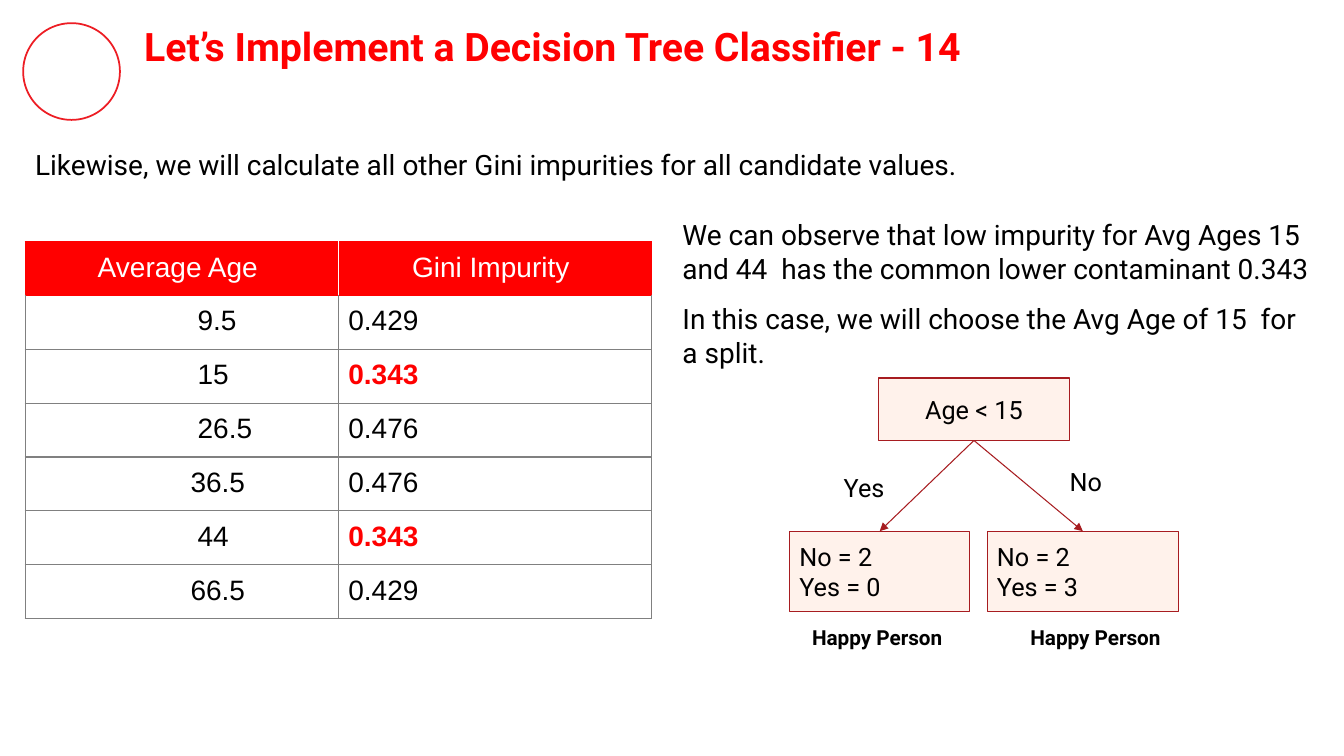
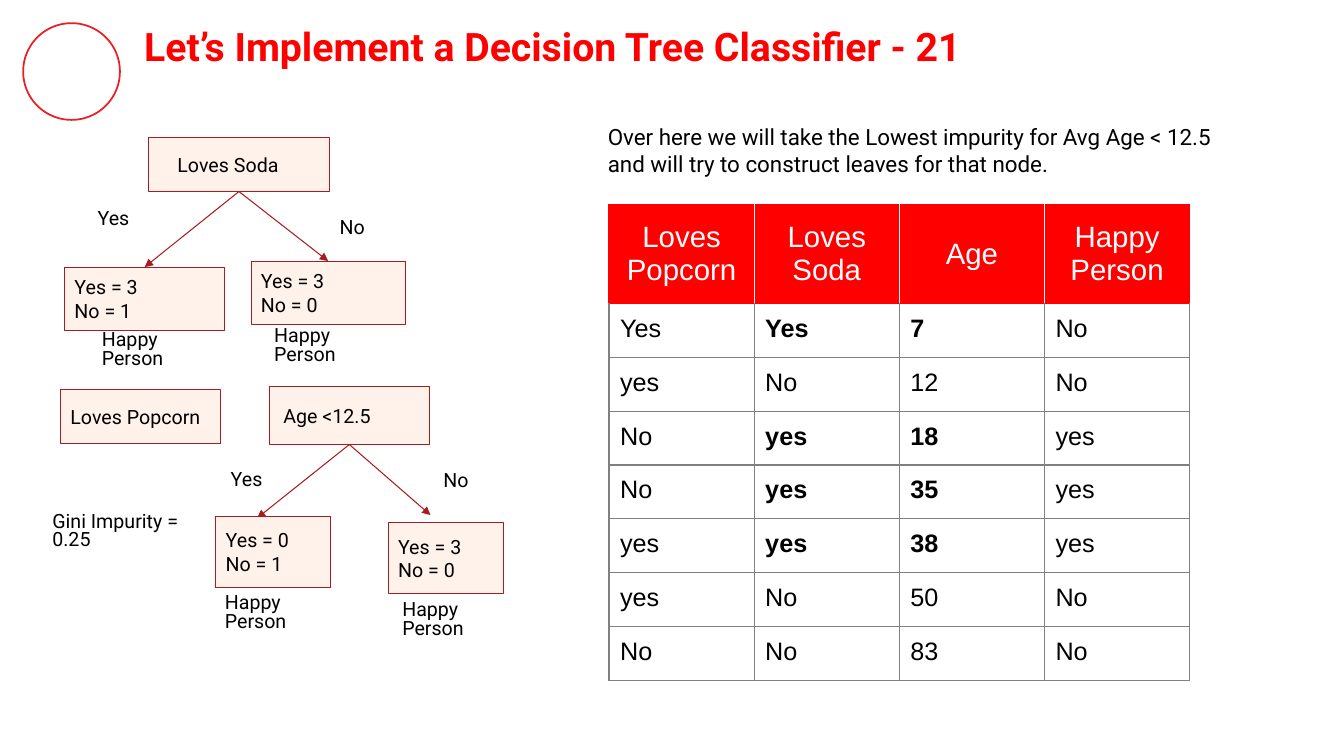
"""Builds two decision tree lesson slides with tables and tree diagrams."""
import itertools
from dataclasses import dataclass, field
from typing import Dict, FrozenSet, List, Optional, Tuple

import lxml.etree
import pptx
import pptx.dml.color
import pptx.enum.shapes
import pptx.enum.text
import pptx.oxml.ns
import pptx.slide
import pptx.table
import pptx.text.text
from pptx.util import Inches

COLORS: Dict[str, str] = {
    "title": "FF0001",
    "ring": "ED1D24",
    "header": "FF0000",
    "grid": "808080",
    "node": "FFF2EB",
    "edge": "A71C20",
    "ink": "000000",
    "paper": "FFFFFF",
}
BODY_FONT = "Roboto"
TABLE_FONT = "Arial"
INSET = 0.1

Align = pptx.enum.text.PP_ALIGN
Anchor = pptx.enum.text.MSO_ANCHOR
Preset = pptx.enum.shapes.MSO_SHAPE
Frame = Tuple[float, float, float, float]
Point = Tuple[float, float]


@dataclass
class Style:
    size: float
    color: str = "ink"
    bold: bool = False
    font: str = BODY_FONT
    align: Align = Align.LEFT
    anchor: Anchor = Anchor.TOP
    spacing: float = 1.0
    after: float = 0


@dataclass
class Box:
    at: Frame
    text: str
    style: Style
    preset: Optional[Preset] = None
    left: float = INSET
    top: float = INSET


@dataclass
class Branch:
    leaf: Box
    label: Box
    caption: Box
    tip: Optional[Point] = None


@dataclass
class Tree:
    root: Box
    branches: List[Branch]


@dataclass
class Grid:
    at: Frame
    rows: List[Tuple[str, ...]]
    header_height: float
    header: Style
    body: Style
    strong: Style
    inset: float
    strong_cells: FrozenSet[Tuple[int, int]]
    first_column_left: Dict[int, float] = field(default_factory=dict)


def rgb(name: str) -> pptx.dml.color.RGBColor:
    return pptx.dml.color.RGBColor.from_string(COLORS[name])


def write(frame: pptx.text.text.TextFrame, text: str, style: Style) -> None:
    frame.text = text
    for para in frame.paragraphs:
        para.alignment = style.align
        para.line_spacing = style.spacing
        para.space_before = pptx.util.Pt(0)
        para.space_after = pptx.util.Pt(style.after)
        for span in para.runs:
            span.font.name = style.font
            span.font.size = pptx.util.Pt(style.size)
            span.font.bold = style.bold
            span.font.color.rgb = rgb(style.color)


def fill_frame(frame: pptx.text.text.TextFrame, box: Box) -> None:
    frame.word_wrap = True
    frame.auto_size = pptx.enum.text.MSO_AUTO_SIZE.NONE
    frame.vertical_anchor = box.style.anchor
    frame.margin_left, frame.margin_top = Inches(box.left), Inches(box.top)
    frame.margin_right = frame.margin_bottom = Inches(INSET)
    write(frame, box.text, box.style)


def add_box(slide: pptx.slide.Slide, box: Box):
    place = [Inches(length) for length in box.at]
    if box.preset is None:
        shape = slide.shapes.add_textbox(*place)
    else:
        shape = slide.shapes.add_shape(box.preset, *place)
        shape.shadow.inherit = False
        shape.fill.solid()
        shape.fill.fore_color.rgb = rgb("node")
        shape.line.color.rgb = rgb("edge")
        shape.line.width = pptx.util.Pt(0.75)
    fill_frame(shape.text_frame, box)
    return shape


def add_arrow(slide: pptx.slide.Slide, root, tip: Point):
    arrow = slide.shapes.add_connector(
        pptx.enum.shapes.MSO_CONNECTOR.STRAIGHT, 0, 0, Inches(tip[0]), Inches(tip[1]))
    arrow.begin_connect(root, 2)
    arrow.line.color.rgb = rgb("edge")
    arrow.line.width = pptx.util.Pt(0.75)
    line = arrow.line._get_or_add_ln()
    lxml.etree.SubElement(line, pptx.oxml.ns.qn("a:tailEnd"), type="triangle")
    lxml.etree.SubElement(arrow.element.spPr, pptx.oxml.ns.qn("a:effectLst"))
    return arrow


def add_tree(slide: pptx.slide.Slide, tree: Tree) -> None:
    root = add_box(slide, tree.root)
    for branch in tree.branches:
        left, top, width, _ = branch.leaf.at
        arrow = add_arrow(slide, root, branch.tip or (left + width / 2, top))
        leaf = add_box(slide, branch.leaf)
        if branch.tip is None:
            arrow.end_connect(leaf, 0)
        add_box(slide, branch.label)
        add_box(slide, branch.caption)


def set_borders(cell: pptx.table._Cell, sides: Dict[str, str]) -> None:
    properties = cell._tc.get_or_add_tcPr()
    for index, side in enumerate("LRTB"):
        line = lxml.etree.Element(pptx.oxml.ns.qn(f"a:ln{side}"), w=str(pptx.util.Pt(1)))
        fill = lxml.etree.SubElement(line, pptx.oxml.ns.qn("a:solidFill"))
        lxml.etree.SubElement(fill, pptx.oxml.ns.qn("a:srgbClr"), val=COLORS[sides[side]])
        properties.insert(index, line)


def border_colors(row: int, column: int, columns: int) -> Dict[str, str]:
    if row == 0:
        return {"L": "paper" if column else "header", "T": "header", "B": "header",
                "R": "paper" if column < columns - 1 else "header"}
    return {"L": "grid", "R": "grid", "B": "grid", "T": "header" if row == 1 else "grid"}


def add_grid(slide: pptx.slide.Slide, grid: Grid) -> None:
    columns, height = len(grid.rows[0]), grid.at[3]
    table = slide.shapes.add_table(
        len(grid.rows), columns, *[Inches(length) for length in grid.at]).table
    table.horz_banding = False
    body_height = (height - grid.header_height) / (len(grid.rows) - 1)
    for index, row in enumerate(table.rows):
        row.height = Inches(body_height if index else grid.header_height)
    for row, column in itertools.product(range(len(grid.rows)), range(columns)):
        cell = table.cell(row, column)
        style = grid.strong if (row, column) in grid.strong_cells else grid.body
        if row == 0:
            style = grid.header
        cell.margin_left = cell.margin_right = Inches(grid.inset)
        cell.margin_top = cell.margin_bottom = Inches(grid.inset)
        if column == 0 and row in grid.first_column_left:
            cell.margin_left = Inches(grid.first_column_left[row])
        cell.vertical_anchor = style.anchor
        cell.fill.solid()
        cell.fill.fore_color.rgb = rgb("paper" if row else "header")
        set_borders(cell, border_colors(row, column, columns))
        write(cell.text_frame, grid.rows[row][column], style)


def add_ring(slide: pptx.slide.Slide) -> None:
    ring = slide.shapes.add_shape(
        Preset.OVAL, Inches(0.23), Inches(0.23), Inches(0.96), Inches(0.96))
    ring.shadow.inherit = False
    ring.fill.background()
    ring.line.color.rgb = rgb("ring")
    ring.line.width = pptx.util.Pt(1.25)
    slide.slide_layout.shapes.element.append(ring.element)


def add_titled_slide(deck, number: int) -> pptx.slide.Slide:
    slide = deck.slides.add_slide(deck.slide_layouts[5])
    title = slide.shapes.title
    box = Box((1.33, 0.12, 11.18, 0.67),
              f"Let’s Implement a Decision Tree Classifier - {number}",
              Style(28, "title", True))
    title.left, title.top, title.width, title.height = [Inches(length) for length in box.at]
    fill_frame(title.text_frame, box)
    return slide


def build_age_split(slide: pptx.slide.Slide) -> None:
    intro = Style(20, after=12)
    add_box(slide, Box(
        (0.25, 1.27, 12.84, 0.71),
        "Likewise, we will calculate all other Gini impurities for all candidate values.",
        Style(20, anchor=Anchor.MIDDLE, after=12)))
    wide, narrow = 1.71, 1.64
    add_grid(slide, Grid(
        (0.25, 2.4, 6.21, 3.74),
        [("Average Age ", "Gini Impurity "), ("9.5", "0.429"), ("15", "0.343"),
         ("26.5", "0.476"), ("36.5", "0.476"), ("44", "0.343"), ("66.5", "0.429")],
        0.53, Style(20, "paper", font=TABLE_FONT, align=Align.CENTER),
        Style(20, font=TABLE_FONT), Style(20, "header", True, TABLE_FONT), INSET,
        frozenset({(2, 1), (5, 1)}),
        {1: wide, 2: wide, 3: wide, 4: narrow, 5: wide, 6: narrow}))
    add_box(slide, Box(
        (6.67, 2.06, 6.42, 1.88),
        "We can observe that low impurity for Avg Ages 15  and 44  has the common lower "
        "contaminant 0.343\nIn this case, we will choose the Avg Age of 15  for a split.",
        intro))
    process = Preset.FLOWCHART_PROCESS
    leaf = Style(18, anchor=Anchor.MIDDLE)
    caption = Style(14.8, bold=True, align=Align.CENTER, spacing=0.9)
    add_tree(slide, Tree(
        Box((8.71, 3.75, 1.9, 0.62), "Age < 15",
            Style(18, align=Align.CENTER, anchor=Anchor.MIDDLE), process),
        [Branch(Box((7.83, 5.27, 1.79, 0.8), "No = 2\nYes = 0", leaf, process),
                Box((8.22, 4.64, 0.65, 0.35), "Yes", Style(18, align=Align.RIGHT, spacing=0.8)),
                Box((7.75, 6.13, 1.9, 0.43), "Happy Person", caption)),
         Branch(Box((9.79, 5.27, 1.9, 0.8), "No = 2\nYes = 3", leaf, process),
                Box((10.51, 4.58, 1.05, 0.44), "No", Style(18, spacing=0.8)),
                Box((9.86, 6.13, 2.01, 0.43), "Happy Person", caption))]))


def build_leaves(slide: pptx.slide.Slide) -> None:
    add_grid(slide, Grid(
        (6.04, 2.03, 5.76, 4.72),
        [("Loves Popcorn", "Loves Soda", "Age", "Happy Person"),
         ("Yes", "Yes", "7", "No"), ("yes", "No", "12", "No"), ("No", "yes", "18", "yes"),
         ("No", "yes", "35", "yes"), ("yes", "yes", "38", "yes"), ("yes", "No", "50", "No"),
         ("No", "No", "83", "No")],
        0.98, Style(21, "paper", font=TABLE_FONT, align=Align.CENTER, anchor=Anchor.MIDDLE),
        Style(18, font=TABLE_FONT), Style(18, bold=True, font=TABLE_FONT), 0.11,
        frozenset(itertools.product((1, 3, 4, 5), (1, 2)))))
    process, rectangle = Preset.FLOWCHART_PROCESS, Preset.RECTANGLE
    node, label, tight = Style(14, anchor=Anchor.MIDDLE), Style(14), Style(14, spacing=0.8)

    def caption(*at: float) -> Box:
        return Box(at, "Happy\nPerson", tight, left=0.14, top=0.01)

    add_tree(slide, Tree(
        Box((1.47, 1.36, 1.8, 0.54), "Loves Soda", node, rectangle, left=0.29),
        [Branch(Box((0.64, 2.65, 1.59, 0.63), "Yes = 3\nNo = 1", node, process),
                Box((0.87, 1.94, 0.6, 0.44), "Yes", label), caption(0.87, 3.28, 1.06, 0.48)),
         Branch(Box((2.49, 2.59, 1.53, 0.63), "Yes = 3\nNo = 0", node, process),
                Box((3.27, 2.03, 0.6, 0.44), "No", label), caption(2.58, 3.24, 1.14, 0.48))]))
    add_box(slide, Box((0.6, 3.86, 1.59, 0.54), "Loves Popcorn", node, process))
    add_box(slide, Box((0.42, 4.99, 1.59, 0.55), "Gini Impurity = 0.25", tight))
    add_tree(slide, Tree(
        Box((2.67, 3.83, 1.59, 0.58), "Age <12.5", node, rectangle, left=0.14),
        [Branch(Box((2.14, 5.12, 1.14, 0.71), "Yes = 0\nNo = 1", node, rectangle),
                Box((2.19, 4.53, 0.68, 0.44), "Yes", label),
                caption(2.09, 5.89, 1.24, 0.55), (2.55, 5.14)),
         Branch(Box((3.85, 5.18, 1.14, 0.71), "Yes = 3\nNo = 0", node, rectangle),
                Box((4.3, 4.54, 0.55, 0.44), "No", label),
                caption(3.85, 5.96, 1.14, 0.48), (4.27, 5.11))]))
    add_box(slide, Box(
        (5.93, 1.12, 6.58, 0.67),
        "Over here we will take the Lowest impurity for Avg Age < 12.5 and will try to "
        "construct leaves for that node.", Style(16)))


def main() -> None:
    deck = pptx.Presentation()
    deck.slide_width, deck.slide_height = Inches(13.33), Inches(7.5)
    age_split = add_titled_slide(deck, 14)
    add_ring(age_split)
    build_age_split(age_split)
    build_leaves(add_titled_slide(deck, 21))
    deck.save("out.pptx")


if __name__ == "__main__":
    main()
